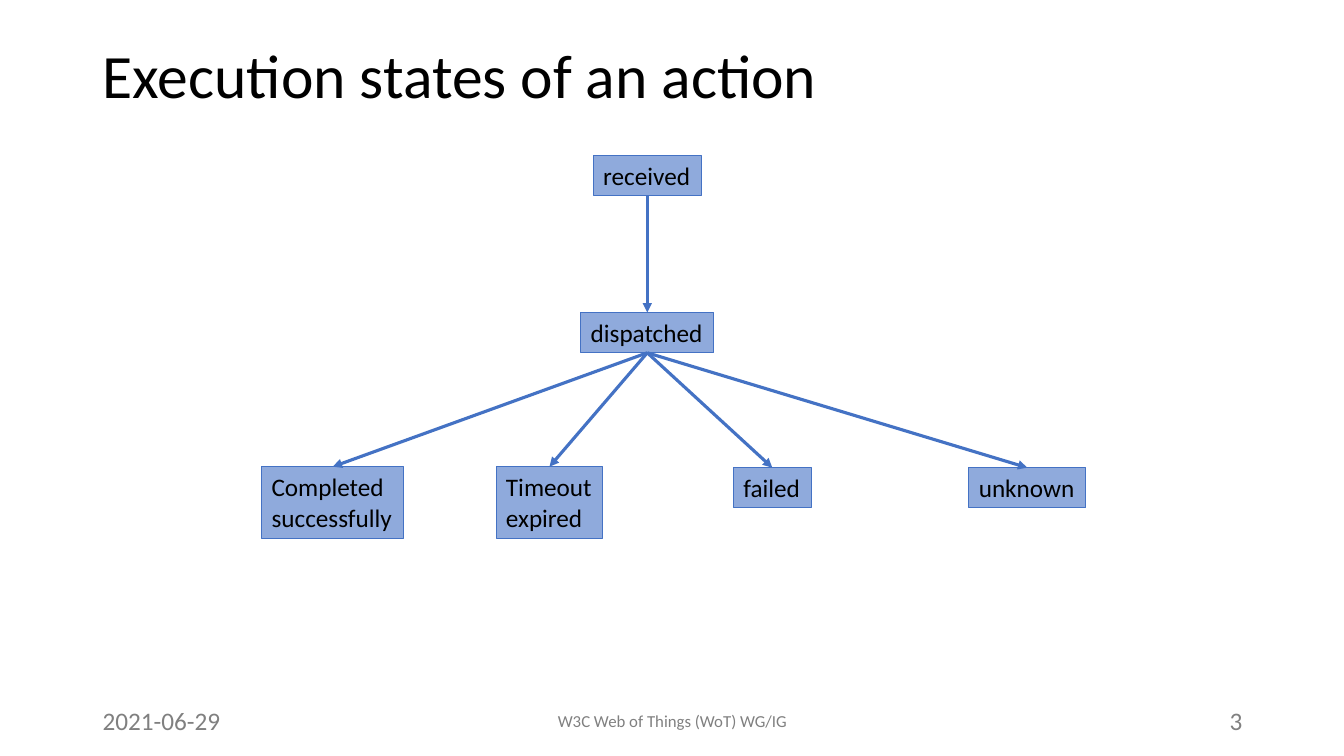
import pptx
import pptx.util
import pptx.dml.color
import pptx.enum.shapes
import pptx.enum.text
import pptx.oxml.ns
import lxml.etree
from dataclasses import dataclass

Inches = pptx.util.Inches
Pt = pptx.util.Pt
ALIGN = pptx.enum.text.PP_ALIGN
ANCHOR = pptx.enum.text.MSO_ANCHOR

TITLE = "Execution states of an action"
FOOTER = [
    ("2021-06-29", 0.92, 3, ALIGN.LEFT, 18),
    ("W3C Web of Things (WoT) WG/IG", 4.42, 4.5, ALIGN.CENTER, 12),
    ("3", 9.42, 3, ALIGN.RIGHT, 18),
]
STATES = {
    "received": (6.42, 1.54, 1.07),
    "dispatched": (6.42, 3.1, 1.32),
    "Completed\nsuccessfully": (3.3, 4.63, 1.41),
    "Timeout\nexpired": (5.45, 4.63, 1.06),
    "failed": (7.66, 4.64, 0.77),
    "unknown": (10.19, 4.64, 1.16),
}
START, HUB, *OUTCOMES = STATES
TRANSITIONS = [(START, HUB)] + [(HUB, outcome) for outcome in OUTCOMES]


@dataclass(frozen=True)
class Theme:
    font: str = "Calibri"
    ink: str = "000000"
    muted: str = "808080"
    state_fill: str = "8FAADC"
    accent: str = "4472C4"
    title_size: int = 44
    state_size: int = 18
    border: float = 0.75
    arrow: float = 2.25
    row_height: float = 0.4
    line_height: float = 0.31


THEME = Theme()
BOTTOM_SITE, TOP_SITE = 2, 0


def rgb(code):
    return pptx.dml.color.RGBColor.from_string(code)


def write(shape, text, size, color, align=ALIGN.LEFT, anchor=ANCHOR.MIDDLE, wrap=True):
    frame = shape.text_frame
    frame.word_wrap = wrap
    frame.vertical_anchor = anchor
    paragraph = frame.paragraphs[0]
    paragraph.text = text.replace("\n", "\v")
    paragraph.alignment = align
    paragraph.font.name = THEME.font
    paragraph.font.size = Pt(size)
    paragraph.font.color.rgb = rgb(color)
    return paragraph


def add_state(slide, label, center, top, width):
    height = THEME.row_height + THEME.line_height * label.count("\n")
    state = slide.shapes.add_shape(
        pptx.enum.shapes.MSO_SHAPE.RECTANGLE,
        Inches(center - width / 2), Inches(top), Inches(width), Inches(height))
    state.shadow.inherit = False
    state.fill.solid()
    state.fill.fore_color.rgb = rgb(THEME.state_fill)
    state.line.color.rgb = rgb(THEME.accent)
    state.line.width = Pt(THEME.border)
    write(state, label, THEME.state_size, THEME.ink, anchor=ANCHOR.TOP, wrap=False)
    state.text_frame.auto_size = pptx.enum.text.MSO_AUTO_SIZE.SHAPE_TO_FIT_TEXT
    return state


def add_transition(slide, source, target):
    arrow = slide.shapes.add_connector(
        pptx.enum.shapes.MSO_CONNECTOR.STRAIGHT, 0, 0, 0, 0)
    arrow.begin_connect(source, BOTTOM_SITE)
    arrow.end_connect(target, TOP_SITE)
    arrow.line.color.rgb = rgb(THEME.accent)
    arrow.line.width = Pt(THEME.arrow)
    qn = pptx.oxml.ns.qn
    lxml.etree.SubElement(arrow.line._get_or_add_ln(), qn("a:tailEnd"), type="triangle")
    lxml.etree.SubElement(arrow._element.spPr, qn("a:effectLst"))


def main():
    deck = pptx.Presentation()
    deck.slide_width, deck.slide_height = Inches(13.33), Inches(7.5)
    slide = deck.slides.add_slide(deck.slide_layouts[6])

    heading = slide.shapes.add_textbox(Inches(0.92), Inches(0.4), Inches(11.5), Inches(1.45))
    write(heading, TITLE, THEME.title_size, THEME.ink, anchor=ANCHOR.TOP).line_spacing = 0.9

    for text, left, width, align, size in FOOTER:
        note = slide.shapes.add_textbox(
            Inches(left), Inches(6.95), Inches(width), Inches(THEME.row_height))
        write(note, text, size, THEME.muted, align)

    states = {label: add_state(slide, label, *place) for label, place in STATES.items()}
    for source, target in TRANSITIONS:
        add_transition(slide, states[source], states[target])

    deck.save("out.pptx")


if __name__ == "__main__":
    main()
